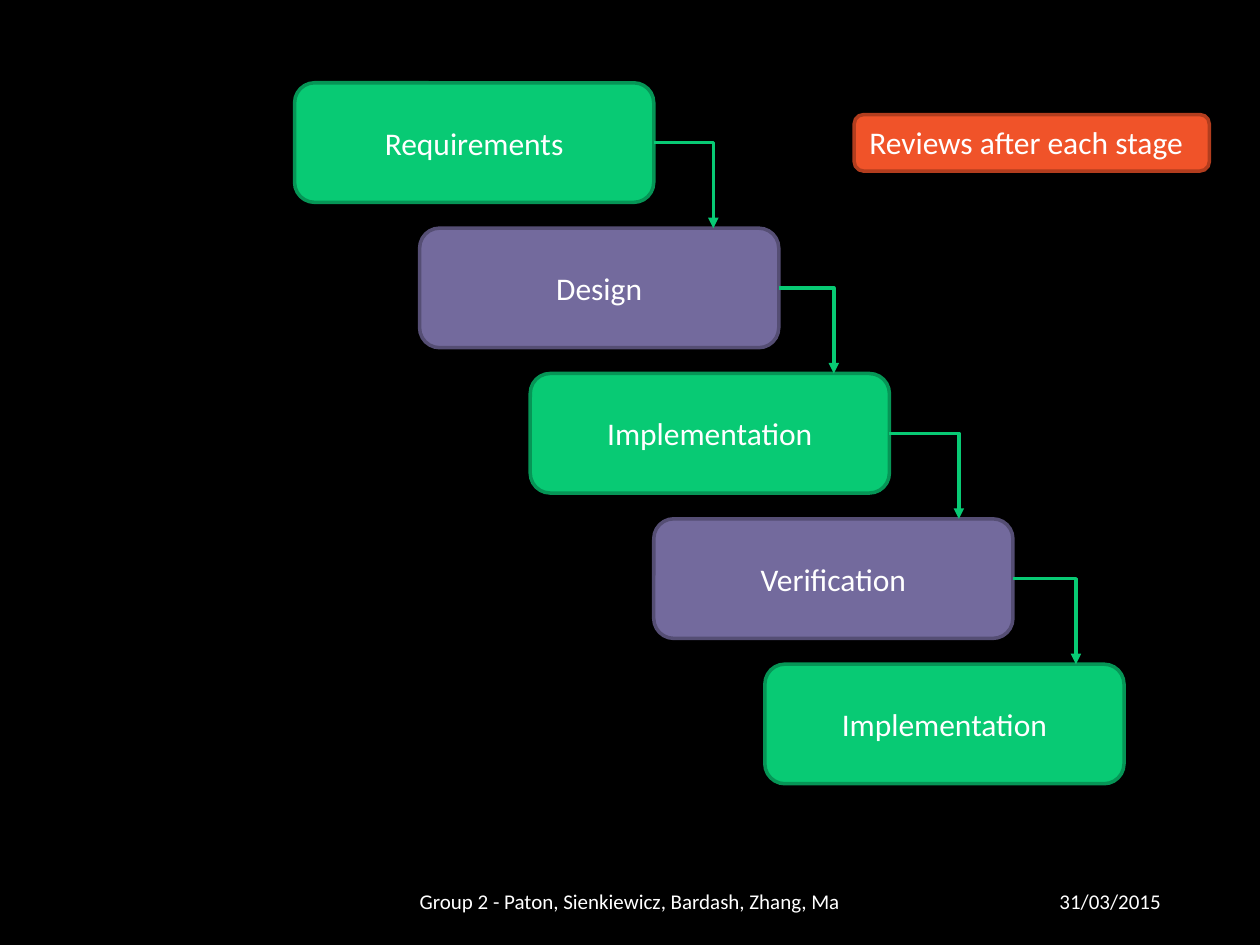
from dataclasses import dataclass

from lxml import etree
from pptx import Presentation
from pptx import util as u
from pptx.dml import color
from pptx.enum import shapes, text
from pptx.oxml import ns


@dataclass(frozen=True)
class Theme:
    font: str = "Calibri"
    background: str = "000000"
    ink: str = "FFFFFF"
    green: tuple = ("08CA74", "069556")  # fill, outline
    purple: tuple = ("736A9D", "554E74")
    orange: tuple = ("F05329", "B23D1E")
    label_size: int = 18
    footer_size: int = 12
    line_width: int = 2


THEME = Theme()

# Name, left edge and x of the arrow arriving from the stage before (cm)
STAGES = [
    ("Requirements", 5.94, None),
    ("Design", 8.46, 14.38),
    ("Implementation", 10.69, 16.81),
    ("Verification", 13.18, 19.33),
    ("Implementation", 15.42, 21.69),
]
FIRST_TOP, STAGE_PITCH = 1.67, 2.93
STAGE_WIDTH, STAGE_HEIGHT = 7.24, 2.41


def rgb(value):
    return color.RGBColor.from_string(value)


def write(box, words, size, align, anchor=text.MSO_ANCHOR.MIDDLE):
    frame = box.text_frame
    frame.word_wrap = True
    frame.vertical_anchor = anchor
    para = frame.paragraphs[0]
    para.alignment = align
    span = para.add_run()
    span.text = words
    span.font.name = THEME.font
    span.font.size = u.Pt(size)
    span.font.color.rgb = rgb(THEME.ink)


def add_rounded_box(page, left, top, width, height, colors):
    box = page.shapes.add_shape(
        shapes.MSO_SHAPE.ROUNDED_RECTANGLE,
        u.Cm(left), u.Cm(top), u.Cm(width), u.Cm(height))
    fill, outline = colors
    box.shadow.inherit = False
    box.fill.solid()
    box.fill.fore_color.rgb = rgb(fill)
    box.line.color.rgb = rgb(outline)
    box.line.width = u.Pt(THEME.line_width)
    return box


def add_bent_arrow(page, start_x, start_y, end_x, end_y):
    arrow = page.shapes.add_connector(
        shapes.MSO_CONNECTOR.ELBOW,
        u.Cm(start_x), u.Cm(start_y), u.Cm(end_x), u.Cm(end_y))
    arrow.line.color.rgb = rgb(THEME.green[0])
    arrow.line.width = u.Pt(THEME.line_width)
    # One bend, a triangle head and no shadow
    properties = arrow._element.spPr
    properties.find(ns.qn("a:prstGeom")).set("prst", "bentConnector2")
    etree.SubElement(properties.find(ns.qn("a:ln")), ns.qn("a:tailEnd"), type="triangle")
    etree.SubElement(properties, ns.qn("a:effectLst"))


def add_footer(page, words, left, width, align):
    box = page.shapes.add_textbox(u.Cm(left), u.Cm(17.65), u.Cm(width), u.Cm(1.02))
    write(box, words, THEME.footer_size, align)


def add_stages(page):
    tops = [FIRST_TOP + STAGE_PITCH * index for index in range(len(STAGES))]
    for index, (name, left, _) in enumerate(STAGES):
        colors = THEME.purple if index % 2 else THEME.green
        box = add_rounded_box(page, left, tops[index], STAGE_WIDTH, STAGE_HEIGHT, colors)
        write(box, name, THEME.label_size, text.PP_ALIGN.CENTER)
    # Each arrow leaves the right side of one stage and drops onto the next
    for index, (_, _, arrow_x) in enumerate(STAGES[1:]):
        add_bent_arrow(page, STAGES[index][1] + STAGE_WIDTH,
                       tops[index] + STAGE_HEIGHT / 2, arrow_x, tops[index + 1])


def add_review_note(page):
    box = add_rounded_box(page, 17.22, 2.31, 7.16, 1.14, THEME.orange)
    write(box, "Reviews after each stage", THEME.label_size,
          text.PP_ALIGN.LEFT, text.MSO_ANCHOR.TOP)
    box.text_frame.auto_size = text.MSO_AUTO_SIZE.SHAPE_TO_FIT_TEXT


def main():
    deck = Presentation()
    deck.slide_width, deck.slide_height = u.Cm(25.4), u.Cm(19.05)
    page = deck.slides.add_slide(deck.slide_layouts[6])
    page.background.fill.solid()
    page.background.fill.fore_color.rgb = rgb(THEME.background)

    # Footer
    add_footer(page, "31/03/2015", 17.93, 5.72, text.PP_ALIGN.RIGHT)
    add_footer(page, "Group 2 - Paton, Sienkiewicz, Bardash, Zhang, Ma",
               7.47, 10.46, text.PP_ALIGN.CENTER)

    # Waterfall and its note
    add_stages(page)
    add_review_note(page)
    deck.save("out.pptx")


main()
